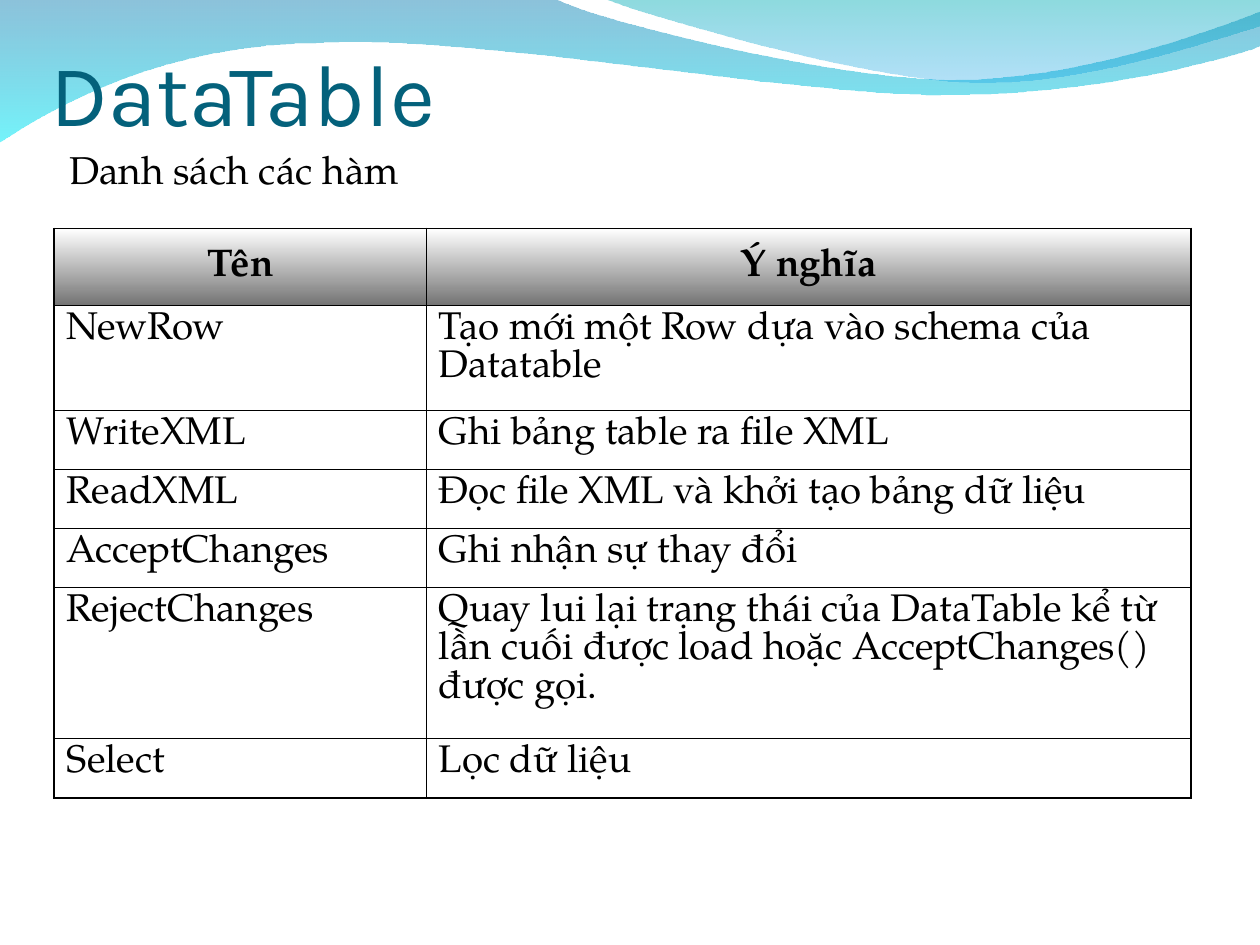
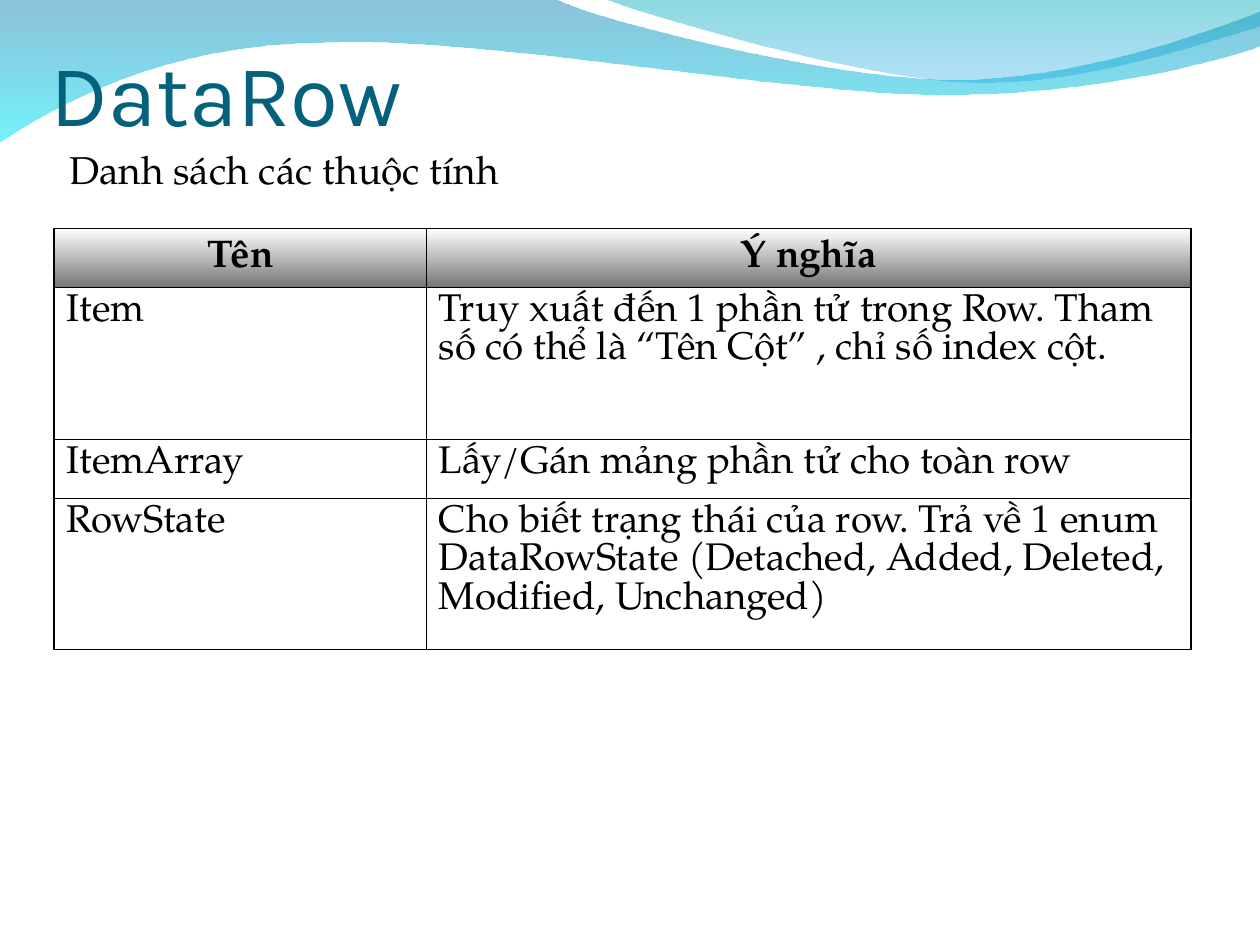
from lxml.etree import SubElement
from pptx import Presentation
from pptx.dml.color import RGBColor
from pptx.enum.text import MSO_ANCHOR as Anchor, PP_ALIGN as Align
from pptx.oxml import parse_xml
from pptx.oxml.ns import nsdecls, qn
from pptx.util import Inches, Pt

ONE_LINE, THREE_LINES = 33.7, 86.7
HEADINGS = ("Tên", "Ý nghĩa")
SLIDES = [
    {
        "title": "DataTable",
        "subtitle": "Danh sách các hàm",
        "heights": [43.8, 60.2, ONE_LINE, ONE_LINE, ONE_LINE, THREE_LINES, ONE_LINE],
        "rows": [
            ("NewRow", "Tạo mới một Row dựa vào schema của Datatable"),
            ("WriteXML", "Ghi bảng table ra file XML"),
            ("ReadXML", "Đọc file XML và khởi tạo bảng dữ liệu"),
            ("AcceptChanges", "Ghi nhận sự thay đổi"),
            ("RejectChanges", "Quay lui lại trạng thái của DataTable kể từ lần cuối "
                              "được load hoặc AcceptChanges() được gọi."),
            ("Select", "Lọc dữ liệu"),
        ],
    },
    {
        "title": "DataRow",
        "subtitle": "Danh sách các thuộc tính",
        "heights": [ONE_LINE, THREE_LINES, ONE_LINE, THREE_LINES],
        "rows": [
            ("Item", "Truy xuất đến 1 phần tử trong Row. Tham số có thể là "
                     "“Tên Cột” , chỉ số index cột."),
            ("ItemArray", "Lấy/Gán mảng phần tử cho toàn row"),
            ("RowState", "Cho biết trạng thái của row. Trả về 1 enum DataRowState "
                         "(Detached, Added, Deleted, Modified, Unchanged)"),
        ],
    },
]

COLORS = {
    "title": "04617B", "text": "000000", "border": "000000",
    "header_top": "FFFFFF", "header_bottom": "757575",
    "wave_top": "0079AF", "wave_bottom": "00EBF8",
    "crest_top": "00ADB6", "crest_bottom": "009BE5",
}
TITLE_FONT = {"name": "Karla", "size": Pt(50)}
SUBTITLE_FONT = {"name": "TeX Gyre Pagella", "size": Pt(22.2)}
CELL_FONT = {"name": "TeX Gyre Pagella", "size": Pt(22)}
CELL_PARA = {"space_before": Pt(5.5), "line_spacing": Pt(22)}
COLUMNS = [212.6, 436.9]
TABLE_LEFT, TABLE_TOP = 31, 130.5
OUTER, INNER = 1.08, 0.45

WAVES = [
    {
        "colors": ("wave_top", "wave_bottom"), "opacity": (45, 55),
        "outline": [
            (0, -0.01), (4.4, -0.01),
            (4.76, 0.17, 6.64, 0.63, 7.58, 0.63), (8.53, 0.63, 9.58, 0.26, 10, 0.09),
            (10.01, 0.36),
            (9.83, 0.44, 8.7, 0.76, 7.46, 0.75), (6.22, 0.75, 3.82, 0.28, 2.57, 0.34),
            (1.29, 0.35, 0.46, 0.83, -0.01, 1.13),
        ],
    },
    {
        "colors": ("crest_top", "crest_bottom"), "opacity": (45, 30),
        "outline": [
            (4.79, -0.01),
            (5.09, 0.11, 6.82, 0.62, 7.69, 0.65), (8.56, 0.69, 9.61, 0.32, 10, 0.21),
            (10, 0),
        ],
    },
]


def apply(target, values):
    for name, value in values.items():
        setattr(target, name, value)


def fill_downward(fill, colors):
    fill.gradient()
    fill.gradient_angle = 270
    for stop, color in zip(fill.gradient_stops, colors):
        stop.color.rgb = RGBColor.from_string(COLORS[color])


def bend_segments(shape, steps):
    segments = list(shape._element.spPr.iter(qn("a:lnTo")))
    for segment, step in zip(segments, steps):
        if len(step) == 2:
            continue
        segment.tag = qn("a:cubicBezTo")
        for old_point in list(segment):
            segment.remove(old_point)
        for x, y in zip(step[::2], step[1::2]):
            SubElement(segment, qn("a:pt"), x=str(Inches(x) - shape.left),
                       y=str(Inches(y) - shape.top))


def add_wave(page, wave):
    start, *steps = wave["outline"]
    builder = page.shapes.build_freeform(*map(Inches, start))
    builder.add_line_segments([tuple(map(Inches, step[-2:])) for step in steps], close=True)
    shape = builder.convert_to_shape()
    bend_segments(shape, steps)
    shape.shadow.inherit = False
    shape.line.fill.background()
    fill_downward(shape.fill, wave["colors"])
    stops = shape._element.spPr.iter(qn("a:srgbClr"))
    for color, opacity in zip(stops, wave["opacity"]):
        SubElement(color, qn("a:alpha"), val=str(opacity * 1000))


def write(frame, text, font, color, **para_values):
    para = frame.paragraphs[0]
    apply(para, para_values)
    span = para.add_run()
    span.text = text
    apply(span.font, font)
    span.font.color.rgb = RGBColor.from_string(COLORS[color])
    return para


def add_text(page, place, text, font, color, frame_values, **para_values):
    box = page.shapes.add_textbox(*map(Inches, place))
    apply(box.text_frame, {"word_wrap": True, **frame_values})
    return write(box.text_frame, text, font, color, **para_values)


def set_borders(cell, widths):
    properties = cell._tc.get_or_add_tcPr()
    for index, (side, width) in enumerate(widths.items()):
        properties.insert(index, parse_xml(
            f'<a:ln{side} {nsdecls("a")} w="{Pt(width)}"><a:solidFill>'
            f'<a:srgbClr val="{COLORS["border"]}"/></a:solidFill></a:ln{side}>'))


def add_grid(page, rows, heights):
    last_row, last_column = len(rows) - 1, len(COLUMNS) - 1
    place = (TABLE_LEFT, TABLE_TOP, sum(COLUMNS), sum(heights))
    table = page.shapes.add_table(len(rows), len(COLUMNS), *map(Pt, place)).table
    apply(table, {"first_row": False, "horz_banding": False})
    for column, width in zip(table.columns, COLUMNS):
        column.width = Pt(width)
    for r, (texts, height) in enumerate(zip(rows, heights)):
        table.rows[r].height = Pt(height)
        header = r == 0
        for c, text in enumerate(texts):
            cell = table.cell(r, c)
            if header:
                fill_downward(cell.fill, ("header_top", "header_bottom"))
            else:
                cell.fill.background()
            cell.vertical_anchor = Anchor.MIDDLE if header else Anchor.TOP
            write(cell.text_frame, text, {**CELL_FONT, "bold": header}, "text",
                  alignment=Align.CENTER if header else Align.LEFT, **CELL_PARA)
            set_borders(cell, {
                "L": OUTER if c == 0 else INNER,
                "R": OUTER if c == last_column else INNER,
                "T": OUTER if r == 0 else INNER,
                "B": OUTER if r == last_row else INNER,
            })


def add_page(deck, content):
    page = deck.slides.add_slide(deck.slide_layouts[6])
    for wave in WAVES:
        add_wave(page, wave)
    add_text(page, (0.4, -0.11, 9, 1.25), content["title"], TITLE_FONT, "title",
             {"vertical_anchor": Anchor.BOTTOM, "margin_left": 0,
              "margin_right": 0, "margin_bottom": 0})
    subtitle = add_text(page, (0.45, 1.18, 4.42, 0.42), content["subtitle"],
                        SUBTITLE_FONT, "text", {}, line_spacing=0.8, space_before=Pt(6))
    indent = Inches(0.3)
    properties = subtitle._p.get_or_add_pPr()
    properties.set("marL", str(indent))
    properties.set("indent", str(-indent))
    add_grid(page, [HEADINGS, *content["rows"]], content["heights"])


def main():
    deck = Presentation()
    apply(deck, {"slide_width": Inches(10), "slide_height": Inches(7.5)})
    for content in SLIDES:
        add_page(deck, content)
    deck.save("out.pptx")


if __name__ == "__main__":
    main()
